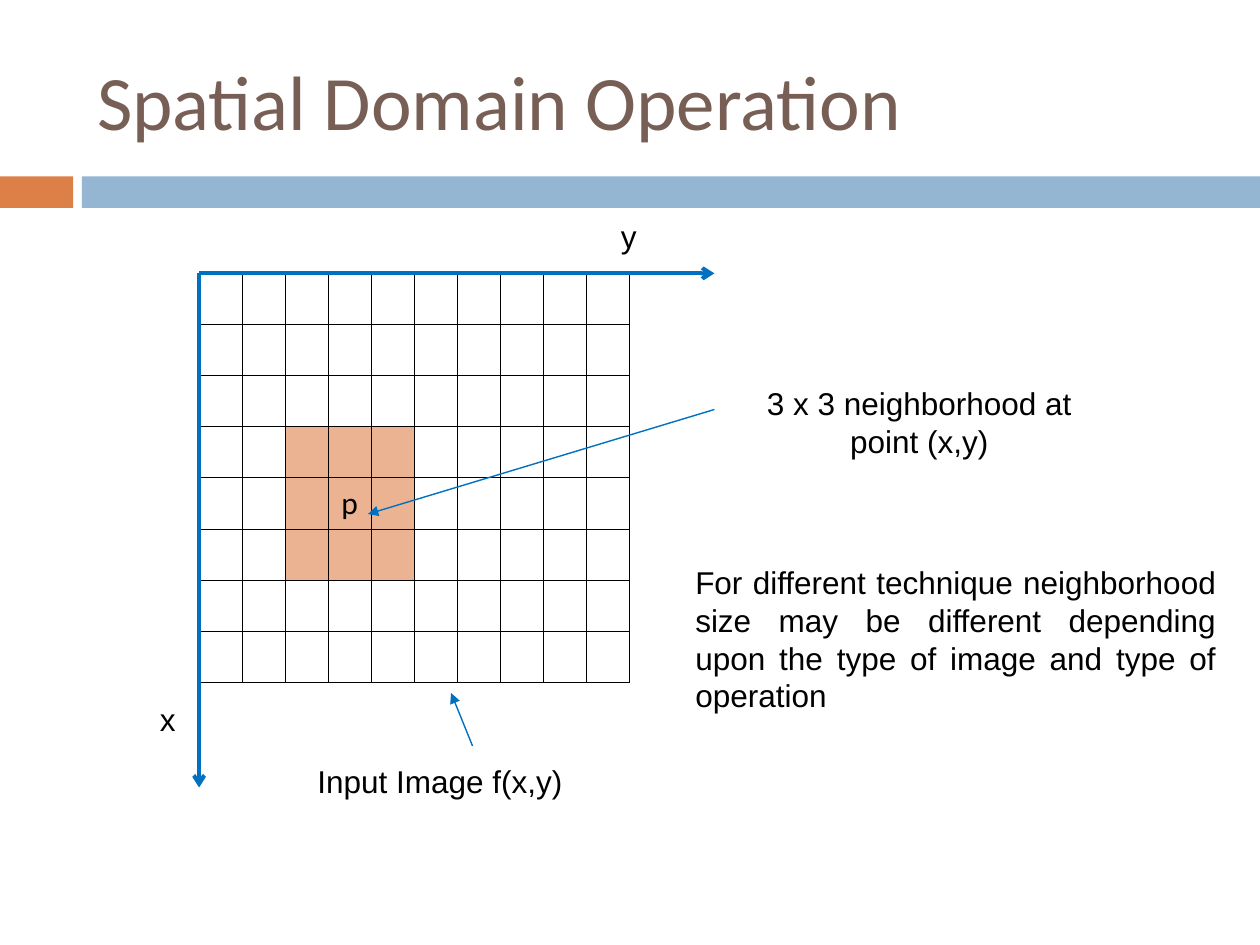
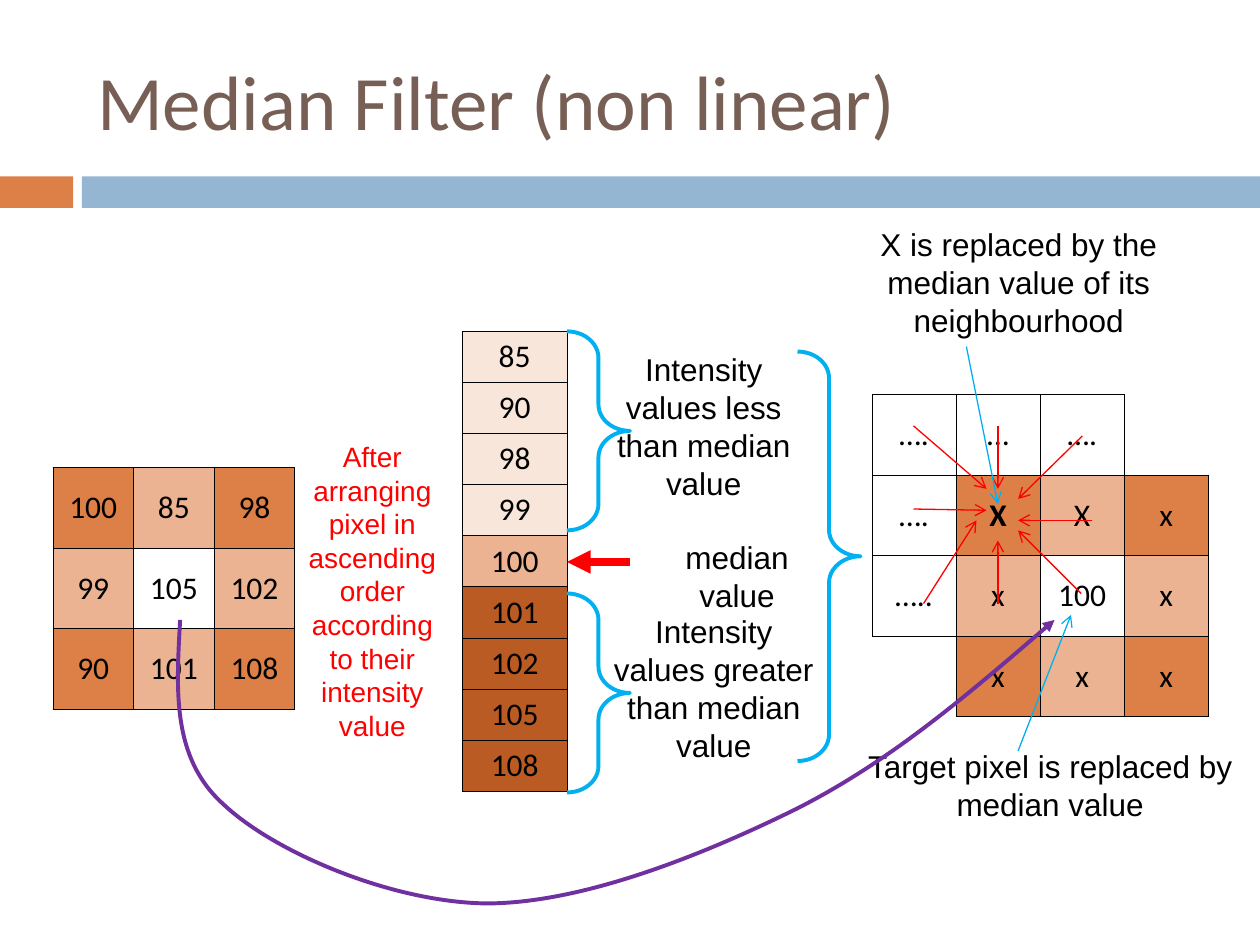
from lxml.etree import SubElement
from pptx import Presentation
from pptx.dml.color import RGBColor
from pptx.enum.shapes import MSO_CONNECTOR, MSO_SHAPE
from pptx.enum.text import MSO_ANCHOR as ANCHOR, PP_ALIGN as ALIGN
from pptx.oxml.ns import qn
from pptx.util import Inches, Pt

BLACK, WHITE, RED = "000000", "FFFFFF", "FF0000"
BROWN, ORANGE, PEACH = "775F55", "DD8047", "EBB391"
CREAM, RUST, BAND = "F8E6DA", "B95B22", "94B6D2"
BLUE, CYAN, PURPLE = "0070C0", "00B0F0", "7030A0"
SIDES = {"L": (0, -1), "R": (0, 1), "T": (-1, 0), "B": (1, 0)}


def rgb(color):
    return RGBColor.from_string(color)


def write(tf, text, size=18, font="Arial", color=BLACK, align=ALIGN.CENTER, bold=False):
    p = tf.paragraphs[0]
    p.alignment = align
    r = p.add_run()
    r.text = text
    r.font.size, r.font.name, r.font.bold = Pt(size), font, bold
    r.font.color.rgb = rgb(color)


def add_text(s, x, y, w, h, text, wrap=True, **fmt):
    tf = s.shapes.add_textbox(Inches(x), Inches(y), Inches(w), Inches(h)).text_frame
    tf.word_wrap = wrap
    write(tf, text, **fmt)


def set_line(sp, color, width, head=None):
    sp.line.color.rgb = rgb(color)
    sp.line.width = Pt(width)
    if head:
        SubElement(sp.line._get_or_add_ln(), qn("a:tailEnd"), type=head)


def add_arrow(s, x1, y1, x2, y2, color, width=0.75, head="arrow"):
    cx = s.shapes.add_connector(MSO_CONNECTOR.STRAIGHT, Inches(x1), Inches(y1), Inches(x2), Inches(y2))
    set_line(cx, color, width, head)
    SubElement(cx._element.spPr, qn("a:effectLst"))


def add_brace(s, x, y, h):
    sp = s.shapes.add_shape(MSO_SHAPE.RIGHT_BRACE, Inches(x), Inches(y), Inches(0.5), Inches(h))
    sp.adjustments[0] = 0.42
    sp.shadow.inherit = False
    sp.fill.background()
    set_line(sp, CYAN, 2.25)


def add_curve(s, points, color, width, head):
    pts = [(Inches(x), Inches(y)) for x, y in points]
    fb = s.shapes.build_freeform(*pts[0])
    fb.add_line_segments(pts[1:], close=False)
    sp = fb.convert_to_shape()
    steps = list(sp._element.spPr.iter(qn("a:lnTo")))
    outline = steps[0].getparent()
    for i in range(0, len(steps), 3):
        bezier = SubElement(outline, qn("a:cubicBezTo"))
        for step in steps[i:i + 3]:
            bezier.append(step[0])
            outline.remove(step)
    sp.shadow.inherit = False
    sp.fill.background()
    set_line(sp, color, width, head)


def add_borders(cell, rows, r, c):
    for side, (dr, dc) in SIDES.items():
        nr, nc = r + dr, c + dc
        inside = 0 <= nr < len(rows) and 0 <= nc < len(rows[0])
        drawn = rows[r][c] is not None or (inside and rows[nr][nc] is not None)
        ln = SubElement(cell._tc.get_or_add_tcPr(), qn("a:ln" + side), w=str(Pt(0.45)))
        if drawn:
            SubElement(SubElement(ln, qn("a:solidFill")), qn("a:srgbClr"), val=BLACK)
        else:
            SubElement(ln, qn("a:noFill"))


def add_grid(s, x, y, w, h, rows, fills, anchor=ANCHOR.MIDDLE, bold=()):
    n_rows, n_cols = len(rows), len(rows[0])
    tbl = s.shapes.add_table(n_rows, n_cols, Inches(x), Inches(y), Inches(w), Inches(h)).table
    tbl.first_row = tbl.horz_banding = False
    for row in tbl.rows:
        row.height = Inches(h / n_rows)
    for r, row in enumerate(rows):
        for c, text in enumerate(row):
            cell = tbl.cell(r, c)
            cell.vertical_anchor = anchor
            add_borders(cell, rows, r, c)
            if (r, c) in fills:
                cell.fill.solid()
                cell.fill.fore_color.rgb = rgb(fills[r, c])
            else:
                cell.fill.background()
            if text:
                write(cell.text_frame, text, font="Calibri", bold=(r, c) in bold)


def window_fills(top=0, left=0):
    fills = {(top + r, left + c): PEACH if (r + c) % 2 else ORANGE
             for r in range(3) for c in range(3)}
    fills[top + 1, left + 1] = WHITE
    return fills


def style_layout(layout, s):
    title = layout.placeholders[0]
    title.left, title.top, title.width, title.height = map(Inches, (0.67, 0.25, 8.92, 1.08))
    title.text_frame.vertical_anchor = ANCHOR.MIDDLE
    for x, w, color in ((0, 0.58, ORANGE), (0.65, 9.35, BAND)):
        sp = s.shapes.add_shape(MSO_SHAPE.RECTANGLE, Inches(x), Inches(1.4), Inches(w), Inches(0.25))
        sp.shadow.inherit = False
        sp.fill.solid()
        sp.fill.fore_color.rgb = rgb(color)
        sp.line.fill.background()
        layout.shapes._spTree.append(sp._element)


def add_slide(prs, layout, title):
    s = prs.slides.add_slide(layout)
    write(s.shapes.title.text_frame, title, size=44, font="Calibri", color=BROWN, align=ALIGN.LEFT)
    return s


def draw_input_image(s, x, y):
    rows = [[""] * 10 for _ in range(8)]
    rows[4][3] = "p"
    fills = {(r, c): PEACH for r in range(3, 6) for c in range(2, 5)}
    add_grid(s, x, y, 3.42, 3.2, rows, fills, anchor=ANCHOR.TOP)
    add_arrow(s, x, y, x + 4.09, y, BLUE, 2.25)
    add_arrow(s, x, y, x, y + 4.08, BLUE, 2.25)
    add_text(s, x + 3.25, y - 0.5, 0.5, 0.4, "y", align=ALIGN.LEFT)
    add_text(s, x - 0.41, y + 3.34, 0.5, 0.4, "x", align=ALIGN.LEFT)
    add_arrow(s, x + 2.17, y + 3.75, x + 2, y + 3.33, BLUE, 0.79, "triangle")
    add_arrow(s, x + 4.09, y + 1.08, x + 1.34, y + 1.91, BLUE, 0.79, "triangle")
    add_text(s, x + 0.84, y + 3.83, 2.75, 0.4, "Input Image f(x,y)", align=ALIGN.LEFT)


def draw_notes(s, x, y):
    add_text(s, x + 0.5, y, 2.75, 0.7, "3 x 3 neighborhood at point (x,y)")
    add_text(s, x, y + 1.42, 4.33, 1.3,
             "For different technique neighborhood size may be different depending "
             "upon the type of image and type of operation", align=ALIGN.JUSTIFY)


def draw_source_window(s, x, y):
    rows = [["100", "85", "98"], ["99", "105", "102"], ["90", "101", "108"]]
    add_grid(s, x, y, 1.92, 1.92, rows, window_fills())
    add_text(s, x + 1.91, y - 0.27, 1.25, 2.5,
             "After arranging pixel in ascending order according to their intensity value",
             size=16, color=RED)


def draw_sorted_values(s, x, y):
    values = ["85", "90", "98", "99", "100", "101", "102", "105", "108"]
    colors = [CREAM] * 4 + [PEACH] + [RUST] * 4
    fills = {(r, 0): color for r, color in enumerate(colors)}
    add_grid(s, x, y, 0.83, 3.65, [[v] for v in values], fills, anchor=ANCHOR.TOP)
    add_arrow(s, x + 1.33, y + 1.83, x + 0.83, y + 1.83, RED, 4.5, "triangle")
    add_text(s, x + 1.08, y + 0.1, 1.67, 1.3, "Intensity values less than median value")
    add_text(s, x + 1.08, y + 2.18, 1.83, 1.3, "Intensity values greater than median value")
    add_text(s, x + 1.34, y + 1.59, 1.68, 0.4, "median value", wrap=False)
    for dx, dy, h in ((0.83, 0, 1.58), (0.83, 2.08, 1.58), (2.66, 0.16, 3.25)):
        add_brace(s, x + dx, y + dy, h)


def draw_target_window(s, x, y):
    rows = [["….", "…", "….", None],
            ["….", "X", "X", "x"],
            ["…..", "x", "100", "x"],
            [None, "x", "x", "x"]]
    add_grid(s, x, y, 2.67, 2.56, rows, window_fills(1, 1), bold={(1, 1)})
    add_text(s, x - 0.17, y + 2.75, 3.17, 0.7, "Target pixel is replaced by median value")
    add_text(s, x - 0.42, y - 1.39, 3.17, 1, "X is replaced by the median value of its neighbourhood")
    for x1, y1, x2, y2 in ((0.41, 1.66, 0.83, 1), (0.33, 0.91, 0.91, 0.92),
                           (0.33, 0.25, 0.91, 0.75), (1, 0.25, 1, 0.75),
                           (1.67, 0.33, 1.16, 0.83), (1.75, 1, 1.16, 1),
                           (1.66, 1.58, 1.16, 1.08), (1, 1.66, 1, 1.16)):
        add_arrow(s, x + x1, y + y1, x + x2, y + y2, RED)
    add_arrow(s, x + 1.16, y + 2.83, x + 1.58, y + 1.75, CYAN)
    add_arrow(s, x + 0.75, y - 0.38, x + 1, y + 0.87, CYAN)


def main():
    prs = Presentation()
    prs.slide_width, prs.slide_height = Inches(10), Inches(7.5)
    layout = prs.slide_layouts[5]

    s = add_slide(prs, layout, "Spatial Domain Operation")
    style_layout(layout, s)
    draw_input_image(s, 1.58, 2.17)
    draw_notes(s, 5.42, 3)

    s = add_slide(prs, layout, "Median Filter (non linear)")
    draw_source_window(s, 0.42, 3.71)
    draw_sorted_values(s, 3.67, 2.63)
    draw_target_window(s, 6.92, 3.13)
    add_curve(s, [(1.43, 4.92), (1.4, 5.47), (1.36, 6.01), (1.77, 6.38),
                  (2.17, 6.76), (3.1, 7.16), (3.86, 7.17),
                  (4.62, 7.17), (5.57, 6.79), (6.32, 6.42),
                  (7.07, 6.04), (7.72, 5.48), (8.37, 4.92)], PURPLE, 2.25, "triangle")
    prs.save("out.pptx")


if __name__ == "__main__":
    main()
